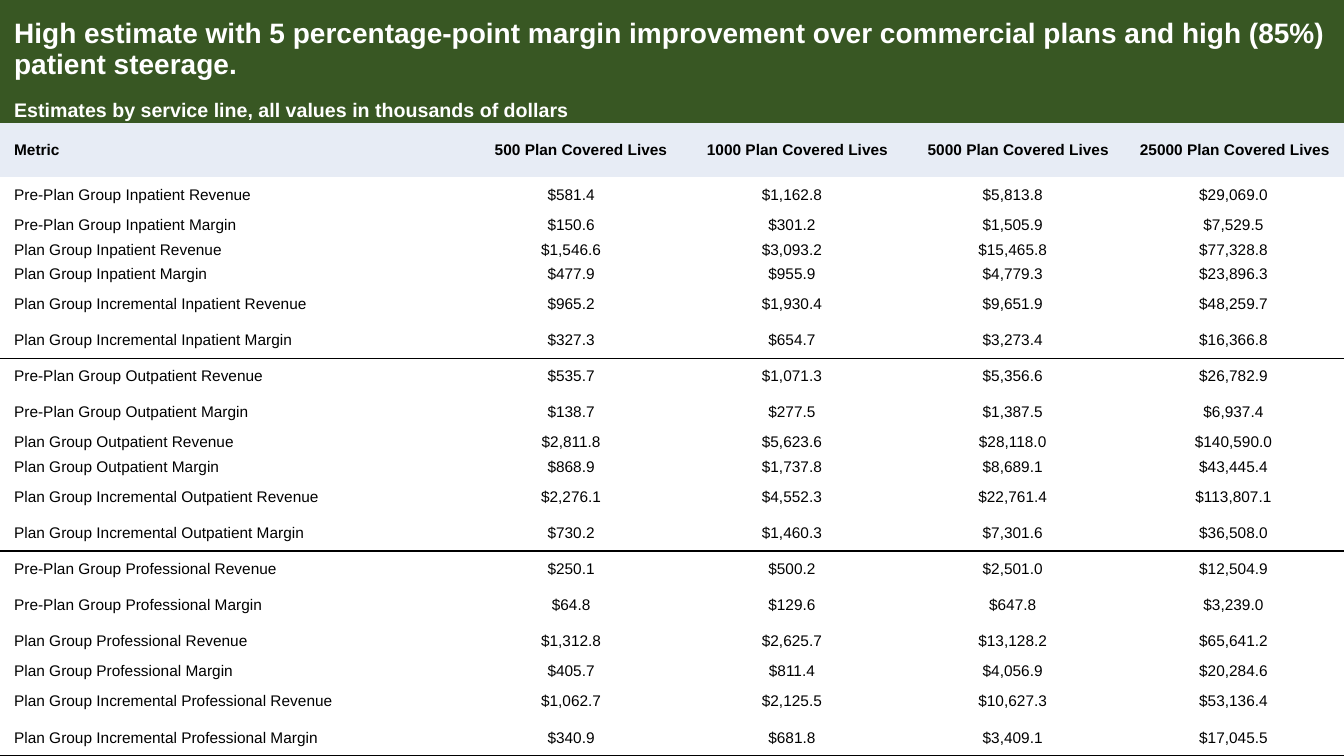
from dataclasses import dataclass

from lxml.etree import fromstring
from pptx import Presentation
from pptx.dml.color import RGBColor
from pptx.enum.text import MSO_ANCHOR as Anchor, PP_ALIGN as Align
from pptx.oxml.ns import nsdecls
from pptx.slide import Slide
from pptx.table import Table, _Cell as Cell
from pptx.util import Inches, Pt

# Grid, in inches
SLIDE_WIDTH, SLIDE_HEIGHT = 13.33, 7.5
VALUE_WIDTH = 2.19
TITLE_ROW, HEADER_ROW, SHORT_ROW = 0.98, 0.54, 0.24
INDENT = 0.14

# Colours
GREEN, PALE_BLUE, WHITE, BLACK = "385723", "E7ECF5", "FFFFFF", "000000"
NO_STYLE = "{2D5ABB26-0587-4C30-8999-92F81FD0307C}"


@dataclass(frozen=True)
class TextStyle:
    size: int
    color: str
    bold: bool
    fill: str | None = None


@dataclass(frozen=True)
class ServiceLine:
    name: str
    short_rows: tuple[int, ...]
    values: tuple[str, ...]


TITLE = TextStyle(20, WHITE, True, GREEN)
SUBTITLE = TextStyle(14, WHITE, True, GREEN)
HEADER = TextStyle(11, BLACK, True, PALE_BLUE)
BODY = TextStyle(11, BLACK, False)

BANNERS = (
    ("High estimate with 5 percentage-point margin improvement over commercial "
     "plans and high (85%) patient steerage.", TITLE),
    ("Estimates by service line, all values in thousands of dollars", SUBTITLE),
)
LIVES = (500, 1000, 5000, 25000)
METRICS = (
    "Pre-Plan Group {} Revenue", "Pre-Plan Group {} Margin",
    "Plan Group {} Revenue", "Plan Group {} Margin",
    "Plan Group Incremental {} Revenue", "Plan Group Incremental {} Margin",
)
SERVICE_LINES = (
    ServiceLine("Inpatient", (1, 2, 3), (
        "$581.4 $1,162.8 $5,813.8 $29,069.0",
        "$150.6 $301.2 $1,505.9 $7,529.5",
        "$1,546.6 $3,093.2 $15,465.8 $77,328.8",
        "$477.9 $955.9 $4,779.3 $23,896.3",
        "$965.2 $1,930.4 $9,651.9 $48,259.7",
        "$327.3 $654.7 $3,273.4 $16,366.8",
    )),
    ServiceLine("Outpatient", (2, 3), (
        "$535.7 $1,071.3 $5,356.6 $26,782.9",
        "$138.7 $277.5 $1,387.5 $6,937.4",
        "$2,811.8 $5,623.6 $28,118.0 $140,590.0",
        "$868.9 $1,737.8 $8,689.1 $43,445.4",
        "$2,276.1 $4,552.3 $22,761.4 $113,807.1",
        "$730.2 $1,460.3 $7,301.6 $36,508.0",
    )),
    ServiceLine("Professional", (3,), (
        "$250.1 $500.2 $2,501.0 $12,504.9",
        "$64.8 $129.6 $647.8 $3,239.0",
        "$1,312.8 $2,625.7 $13,128.2 $65,641.2",
        "$405.7 $811.4 $4,056.9 $20,284.6",
        "$1,062.7 $2,125.5 $10,627.3 $53,136.4",
        "$340.9 $681.8 $3,409.1 $17,045.5",
    )),
)


def rgb(color: str) -> RGBColor:
    return RGBColor.from_string(color)


def write_cell(cell: Cell, text: str, style: TextStyle, align: Align) -> None:
    cell.margin_left = cell.margin_right = cell.margin_top = cell.margin_bottom = 0
    cell.vertical_anchor = Anchor.MIDDLE
    if style.fill:
        cell.fill.solid()
        cell.fill.fore_color.rgb = rgb(style.fill)
    else:
        cell.fill.background()
    cell.text = text
    paragraph = cell.text_frame.paragraphs[0]
    paragraph.alignment = align
    properties = paragraph._p.get_or_add_pPr()
    for side in ("marL", "marR"):
        properties.set(side, str(Inches(INDENT)))
    properties.set("indent", "0")
    font = paragraph.font
    font.name, font.size, font.bold = "Arial", Pt(style.size), style.bold
    font.color.rgb = rgb(style.color)


def write_row(table: Table, row: int, texts: list[str], style: TextStyle,
              value_align: Align) -> None:
    for column, text in enumerate(texts):
        align = value_align if column else Align.LEFT
        write_cell(table.cell(row, column), text, style, align)


def rule_below(table: Table, row: int) -> None:
    for cell in table.rows[row].cells:
        border = fromstring(
            f'<a:lnB {nsdecls("a")} w="{Pt(1)}"><a:solidFill>'
            f'<a:srgbClr val="{BLACK}"/></a:solidFill></a:lnB>')
        cell._tc.get_or_add_tcPr().insert(0, border)


def row_heights() -> list[float]:
    short = [index in line.short_rows
             for line in SERVICE_LINES for index in range(len(METRICS))]
    fixed = TITLE_ROW + SHORT_ROW + HEADER_ROW + SHORT_ROW * sum(short)
    tall_row = (SLIDE_HEIGHT - fixed) / short.count(False)
    body = [SHORT_ROW if is_short else tall_row for is_short in short]
    return [TITLE_ROW, SHORT_ROW, HEADER_ROW, *body]


def add_estimates_table(slide: Slide) -> None:
    heights = row_heights()
    frame = slide.shapes.add_table(len(heights), 1 + len(LIVES), 0, 0,
                                   Inches(SLIDE_WIDTH), Inches(SLIDE_HEIGHT))
    table = frame.table
    table.first_row = table.horz_banding = False
    table._tbl.tblPr[0].text = NO_STYLE
    widths = [SLIDE_WIDTH - VALUE_WIDTH * len(LIVES)] + [VALUE_WIDTH] * len(LIVES)
    for column, width in zip(table.columns, widths):
        column.width = Inches(width)
    for row, height in zip(table.rows, heights):
        row.height = Inches(height)

    # Title banners and column headings
    for row, (text, style) in enumerate(BANNERS):
        table.cell(row, 0).merge(table.cell(row, len(LIVES)))
        write_cell(table.cell(row, 0), text, style, Align.LEFT)
    header_row = len(BANNERS)
    headings = ["Metric", *(f"{lives} Plan Covered Lives" for lives in LIVES)]
    write_row(table, header_row, headings, HEADER, Align.RIGHT)

    # Service lines, each closed by a rule
    row = header_row
    for line in SERVICE_LINES:
        for metric, values in zip(METRICS, line.values):
            row += 1
            texts = [metric.format(line.name), *values.split()]
            write_row(table, row, texts, BODY, Align.CENTER)
        rule_below(table, row)


def main() -> None:
    presentation = Presentation()
    presentation.slide_width = Inches(SLIDE_WIDTH)
    presentation.slide_height = Inches(SLIDE_HEIGHT)
    slide = presentation.slides.add_slide(presentation.slide_layouts[6])
    add_estimates_table(slide)
    presentation.save("out.pptx")


if __name__ == "__main__":
    main()
